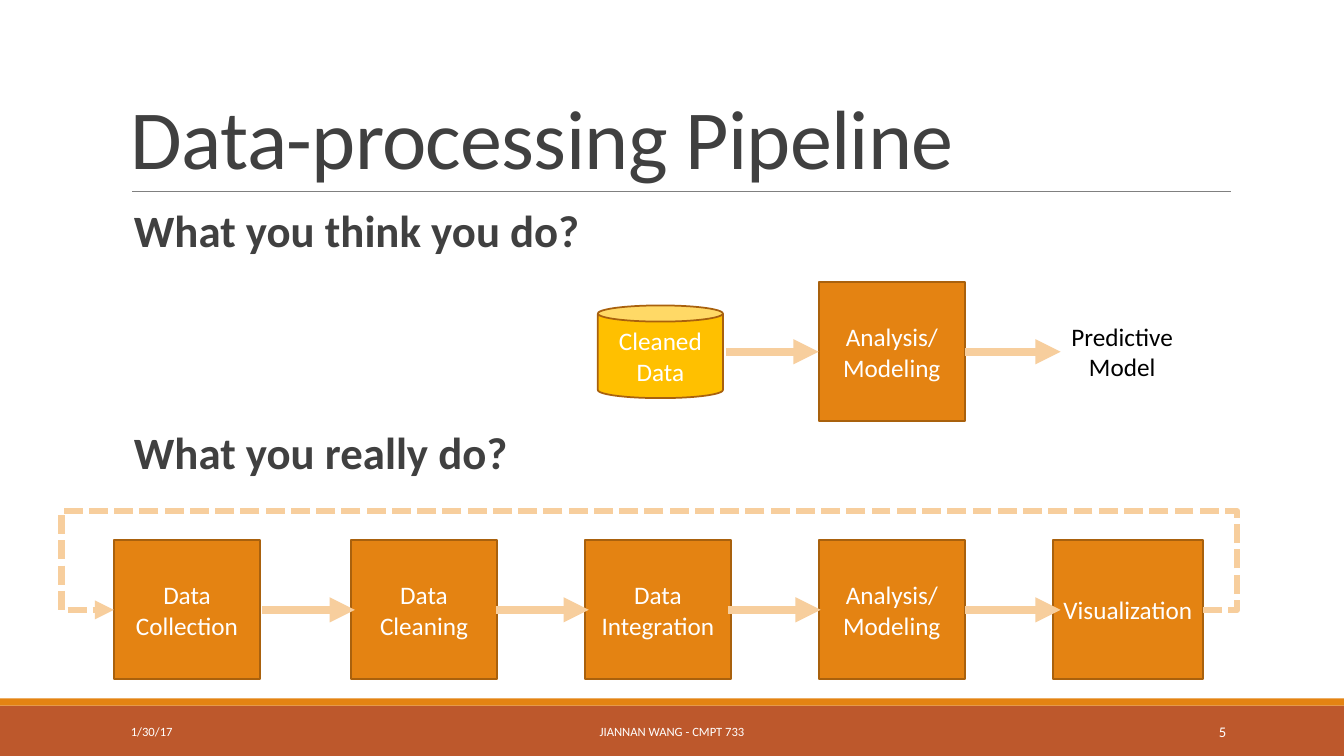
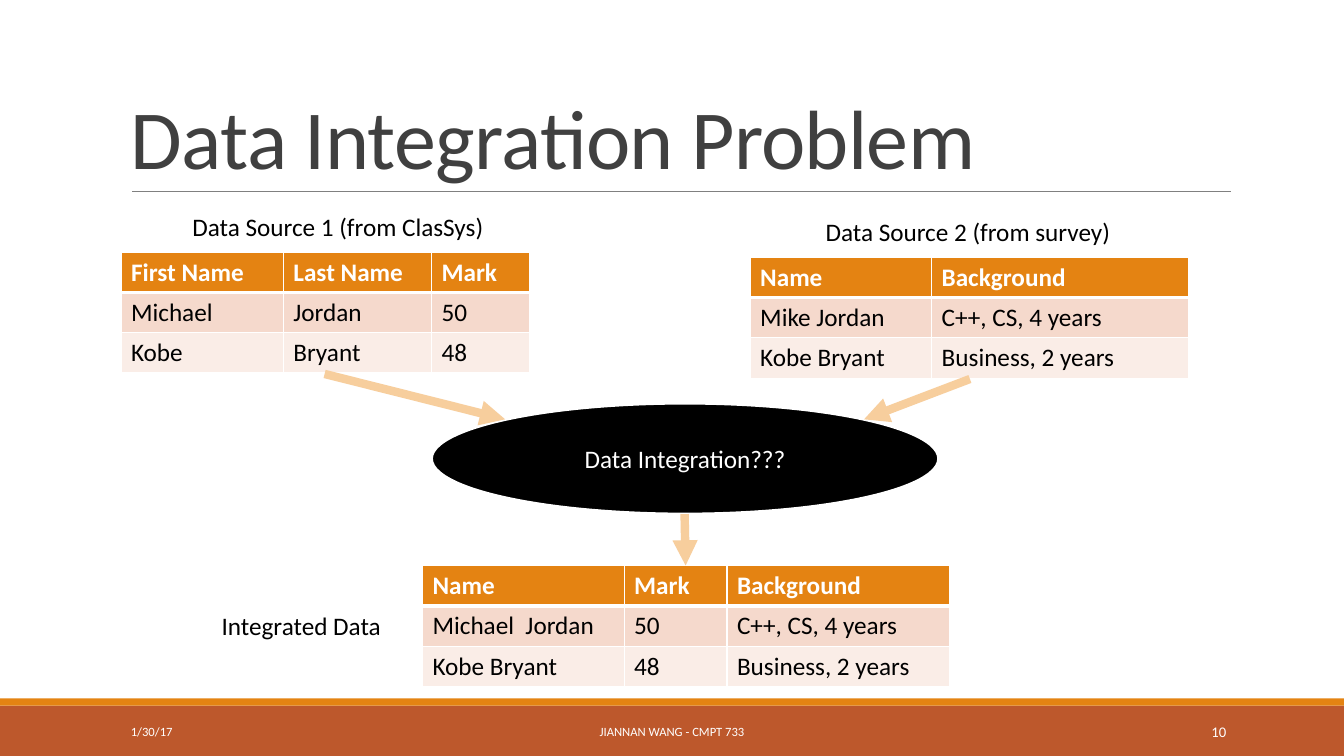
from lxml import etree
from pptx import Presentation
from pptx import util as u
from pptx.dml.color import RGBColor
from pptx.enum import dml, shapes, text
from pptx.oxml.ns import qn

PX = 9144
WIDTH, HEIGHT = 1333, 750
FONT = "Calibri"
WHITE = RGBColor(0xFF, 0xFF, 0xFF)
BLACK = RGBColor(0, 0, 0)
INK = RGBColor(0x40, 0x40, 0x40)
GREY = RGBColor(0x80, 0x80, 0x80)
RUST = RGBColor(0xBD, 0x58, 0x2C)
ORANGE = RGBColor(0xE4, 0x83, 0x12)
BROWN = RGBColor(0xA9, 0x61, 0x0D)
GOLD = RGBColor(0xFF, 0xC0, 0)
SAND = RGBColor(0xF7, 0xCE, 0x9D)
ROSE = RGBColor(0xF5, 0xD9, 0xCC)
BLUSH = RGBColor(0xFA, 0xED, 0xE7)
LEFT, CENTER, RIGHT = text.PP_ALIGN.LEFT, text.PP_ALIGN.CENTER, text.PP_ALIGN.RIGHT
TOP, MIDDLE, BOTTOM = text.MSO_ANCHOR.TOP, text.MSO_ANCHOR.MIDDLE, text.MSO_ANCHOR.BOTTOM
PRESET = shapes.MSO_SHAPE


def px(*lengths):
    return [u.Emu(length * PX) for length in lengths]


def write(frame, words, size=18, color=BLACK, bold=False, align=LEFT,
          anchor=TOP, wrap=True, leading=None, tracking=None):
    frame.word_wrap = wrap
    frame.vertical_anchor = anchor
    for index, line in enumerate(words.split("\n")):
        paragraph = frame.add_paragraph() if index else frame.paragraphs[0]
        paragraph.alignment = align
        if leading:
            paragraph.line_spacing = leading
        run = paragraph.add_run()
        run.text = line
        run.font.name, run.font.size, run.font.bold = FONT, u.Pt(size), bold
        run.font.color.rgb = color
        if tracking:
            run._r.get_or_add_rPr().set("spc", str(tracking))


class Deck:
    """Holds the shared style and the slide being drawn."""

    def __init__(self):
        self.file = Presentation()
        self.file.slide_width, self.file.slide_height = px(WIDTH, HEIGHT)
        self.shapes = None

    def slide(self, title, number):
        self.shapes = self.file.slides.add_slide(self.file.slide_layouts[6]).shapes
        self.block((0, 700, WIDTH, 50), RUST)
        self.block((0, 693, WIDTH, 7), ORANGE)
        self.line((131, 190), (1221, 190), GREY, 0.5)
        self.label((120, 31, 1100, 159), title, size=60, color=INK,
                   anchor=BOTTOM, leading=0.85, tracking=-50)
        footers = (
            (120, 270, "1/30/17", 9, LEFT),
            (403, 527, "JIANNAN WANG - CMPT 733", 9, CENTER),
            (1083, 143, number, 10.5, RIGHT),
        )
        for left, width, words, size, align in footers:
            self.label((left, 706, width, 40), words, size=size, color=WHITE,
                       align=align, anchor=MIDDLE)

    def label(self, box, words, **style):
        write(self.shapes.add_textbox(*px(*box)).text_frame, words, **style)

    def heading(self, top, words):
        self.label((123, top, 1000, 60), words, size=32, color=INK, bold=True, leading=0.9)

    def block(self, box, fill, words="", preset=PRESET.RECTANGLE, outline=None, weight=1.25):
        block = self.shapes.add_shape(preset, *px(*box))
        block.shadow.inherit = False
        block.fill.solid()
        block.fill.fore_color.rgb = fill
        if outline is None:
            block.line.fill.background()
        else:
            block.line.color.rgb, block.line.width = outline, u.Pt(weight)
        if words:
            write(block.text_frame, words, color=WHITE, align=CENTER, anchor=MIDDLE)
        return block

    def stage(self, left, top, words, width=145):
        self.block((left, top, width, 138), ORANGE, words, outline=BROWN)

    def line(self, start, end, color, weight):
        line = self.shapes.add_connector(shapes.MSO_CONNECTOR.STRAIGHT, *px(*start, *end))
        line.line.color.rgb, line.line.width = color, u.Pt(weight)
        etree.SubElement(line._element.spPr, qn("a:effectLst"))
        return line

    def point(self, stroke):
        outline = stroke._element.spPr.find(qn("a:ln"))
        etree.SubElement(outline, qn("a:tailEnd"), type="triangle")

    def arrow(self, start, end):
        self.point(self.line(start, end, SAND, 6))

    def loop(self, corners):
        builder = self.shapes.build_freeform(*corners[0], scale=PX)
        builder.add_line_segments(corners[1:], close=False)
        loop = builder.convert_to_shape()
        loop.shadow.inherit = False
        loop.fill.background()
        loop.line.color.rgb, loop.line.width = SAND, u.Pt(4.5)
        loop.line.dash_style = dml.MSO_LINE.SQUARE_DOT
        self.point(loop)

    def border(self, cell, row):
        weights = {"L": 1, "R": 1, "T": 3 if row == 1 else 1, "B": 3 if row == 0 else 1}
        properties = cell._tc.get_or_add_tcPr()
        for position, (side, weight) in enumerate(weights.items()):
            edge = etree.Element(qn("a:ln" + side), w=str(u.Pt(weight)))
            fill = etree.SubElement(edge, qn("a:solidFill"))
            etree.SubElement(fill, qn("a:srgbClr"), val=str(WHITE))
            properties.insert(position, edge)

    def table(self, left, top, widths, records):
        box = px(left, top, sum(widths), 40 * len(records))
        table = self.shapes.add_table(len(records), len(widths), *box).table
        for column, width in zip(table.columns, px(*widths)):
            column.width = width
        for row, (record, fill) in enumerate(zip(records, (ORANGE, ROSE, BLUSH))):
            for column, words in enumerate(record):
                cell = table.cell(row, column)
                cell.fill.solid()
                cell.fill.fore_color.rgb = fill
                self.border(cell, row)
                write(cell.text_frame, words, color=BLACK if row else WHITE, bold=row == 0)


def pipeline(deck):
    deck.slide("Data-processing Pipeline", "5")
    deck.heading(202, "What you think you do?")
    deck.heading(422, "What you really do?")
    deck.stage(812, 280, "Analysis/\nModeling")
    cleaned = deck.block((593, 303, 124, 92), GOLD, "Cleaned Data", PRESET.CAN, BROWN)
    cleaned.adjustments[0] = 0.175
    deck.label((1052, 314, 122, 71), "Predictive\nModel", align=CENTER, wrap=False)
    for start, end in ((720, 812), (957, 1052)):
        deck.arrow((start, 349), (end, 349))
    stages = (
        (113, "Data Collection"),
        (348, "Data Cleaning"),
        (580, "Data Integration"),
        (812, "Analysis/\nModeling"),
    )
    for left, words in stages:
        deck.stage(left, 536, words)
    deck.stage(1044, 536, "Visualization", width=149)
    for start, end in ((260, 352), (492, 584), (722, 814), (957, 1052)):
        deck.arrow((start, 605), (end, 605))
    deck.loop(((1193, 605), (1227, 605), (1227, 507), (61, 507), (61, 605), (113, 605)))


def integration(deck):
    deck.slide("Data Integration Problem", "10")
    deck.label((181, 205, 320, 40), "Data Source 1 (from ClasSys)", wrap=False)
    deck.table(120, 250, (161, 147, 97), (
        ("First Name", "Last Name", "Mark"),
        ("Michael", "Jordan", "50"),
        ("Kobe", "Bryant", "48"),
    ))
    deck.label((809, 210, 306, 40), "Data Source 2 (from survey)", wrap=False)
    deck.table(744, 255, (180, 255), (
        ("Name", "Background"),
        ("Mike Jordan", "C++, CS, 4 years"),
        ("Kobe Bryant", "Business, 2 years"),
    ))
    deck.label((210, 601, 180, 40), "Integrated Data", wrap=False)
    deck.table(419, 561, (200, 102, 221), (
        ("Name", "Mark", "Background"),
        ("Michael  Jordan", "50", "C++, CS, 4 years"),
        ("Kobe Bryant", "48", "Business, 2 years"),
    ))
    deck.block((428, 400, 503, 110), BLACK, "Data Integration???", PRESET.OVAL, WHITE, 2)
    deck.arrow((322, 371), (501, 416))
    deck.arrow((962, 376), (857, 416))
    deck.arrow((679, 510), (680, 561))


def main():
    deck = Deck()
    pipeline(deck)
    integration(deck)
    deck.file.save("out.pptx")


if __name__ == "__main__":
    main()
